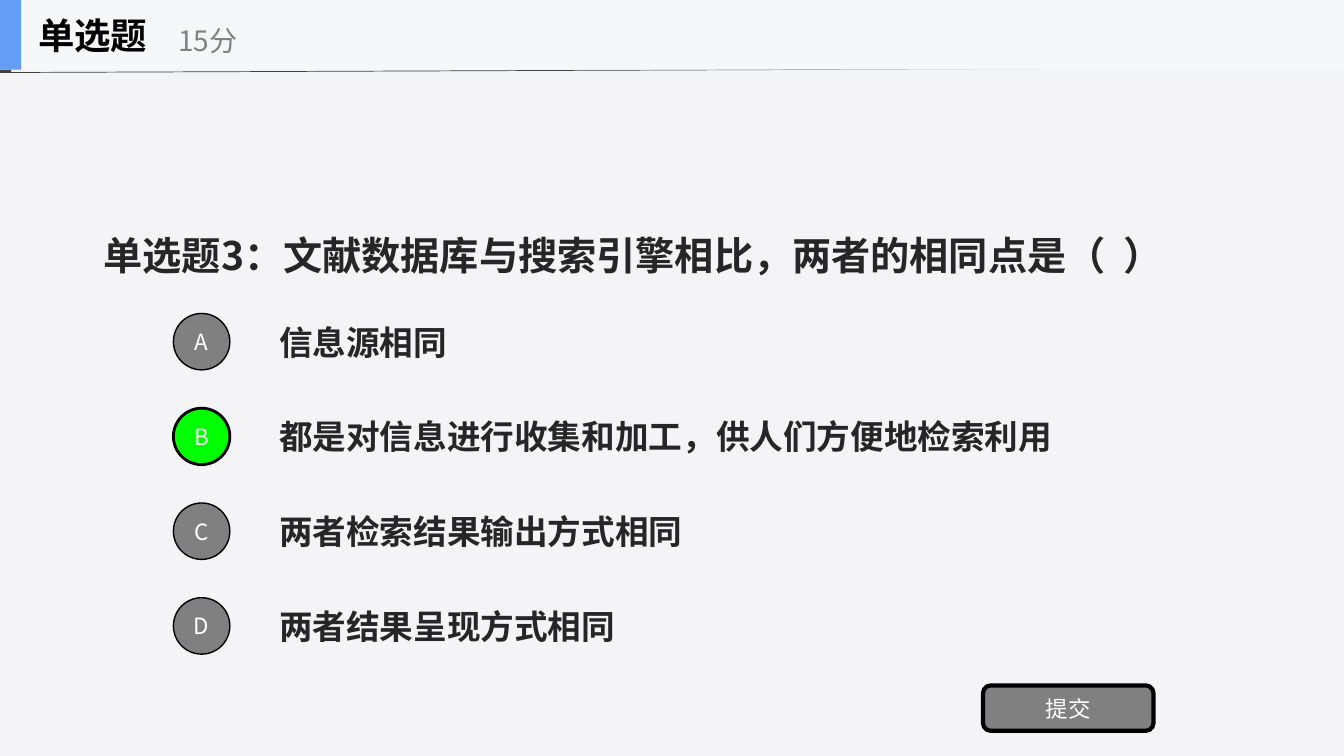
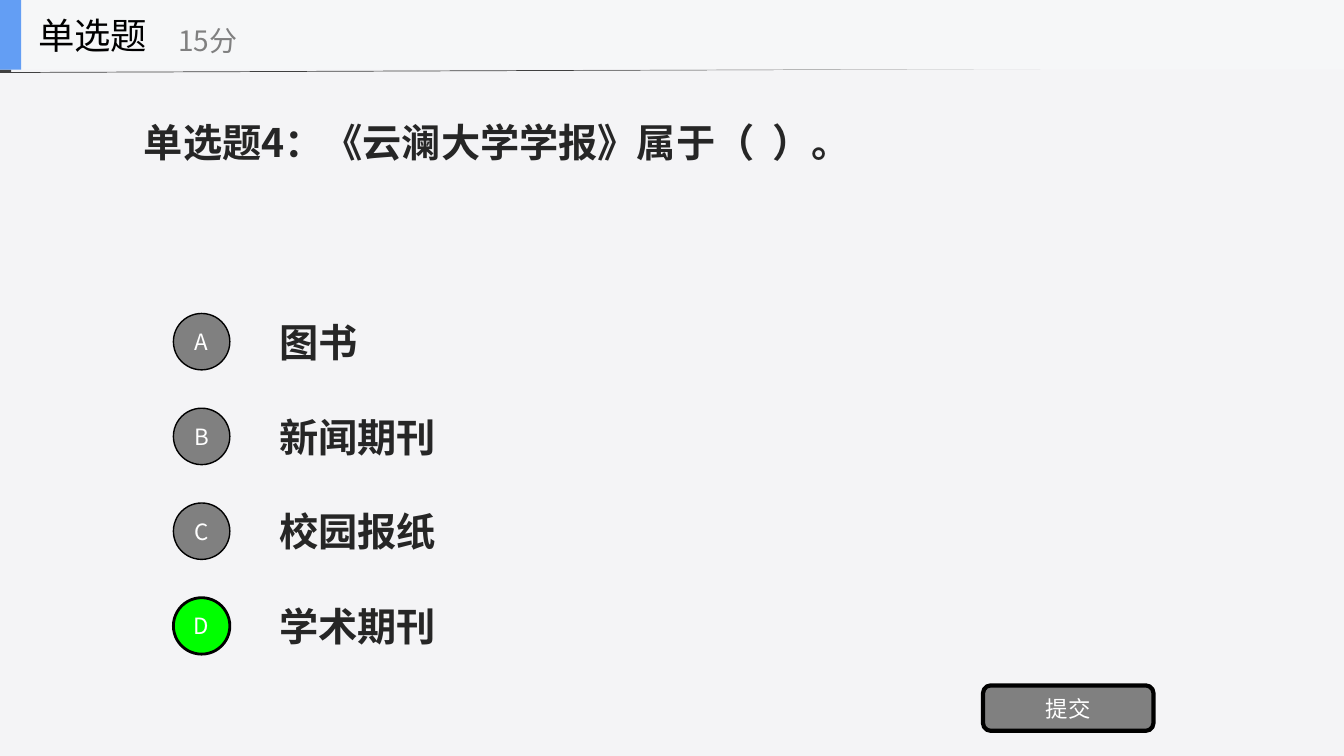
from dataclasses import dataclass
from lxml import etree
from pptx import Presentation
from pptx import util as u
from pptx.dml.color import RGBColor
from pptx.enum import shapes, text
from pptx.oxml.ns import qn


@dataclass(frozen=True)
class Theme:
    """Colours, font and type sizes of the deck."""
    font: str = "Noto Sans CJK SC"
    page: str = "F4F4F6"
    band: str = "F6F7F8"
    blue: str = "639EF4"
    dark: str = "404040"
    ink: str = "262626"
    grey: str = "808080"
    green: str = "00FF00"
    black: str = "000000"
    white: str = "FFFFFF"
    ask: int = 28
    head: int = 26
    score: int = 20
    mark: int = 16


T = Theme()
RECT = shapes.MSO_SHAPE.RECTANGLE
OVAL = shapes.MSO_SHAPE.OVAL
ROUND = shapes.MSO_SHAPE.ROUNDED_RECTANGLE
MID = text.PP_ALIGN.CENTER
LEFT = text.PP_ALIGN.LEFT


def rgb(code):
    """Return the colour of a hex code."""
    return RGBColor.from_string(code)


def inch(*vals):
    """Turn numbers into lengths."""
    return [u.Inches(v) for v in vals]


def put(obj, **form):
    """Set each format value on an object."""
    for key, val in form.items():
        setattr(obj, key, val)


def write(shape, words, size, color, bold=False, align=LEFT, lead=None, foot=0.05):
    """Write one line of text, centred upright, into a shape."""
    frame = shape.text_frame
    put(frame, word_wrap=True, vertical_anchor=text.MSO_ANCHOR.MIDDLE,
        margin_bottom=u.Inches(foot))
    para = frame.paragraphs[0]
    put(para, alignment=align, line_spacing=lead)
    run = para.add_run()
    run.text = words
    put(run.font, size=u.Pt(size), bold=bold, name=T.font)
    run.font.color.rgb = rgb(color)
    etree.SubElement(run.font._element, qn("a:ea"), typeface=T.font)


def label(host, box, words, size, color, **form):
    """Add a text box."""
    write(host.add_textbox(*inch(*box)), words, size, color, **form)


def block(host, kind, box, fill, line=0):
    """Add a filled shape, outlined in black if line is set."""
    shape = host.add_shape(kind, *inch(*box))
    shape.shadow.inherit = False
    shape.fill.solid()
    shape.fill.fore_color.rgb = rgb(fill)
    if line:
        shape.line.color.rgb = rgb(T.black)
        shape.line.width = u.Pt(line)
    else:
        shape.line.fill.background()
    return shape


def button(host, kind, box, words, fill, line):
    """Add a shape with a white caption."""
    write(block(host, kind, box, fill, line), words, T.mark, T.white, align=MID)


def rule(host):
    """Draw the dark tab and the slanted rule below the header."""
    block(host, RECT, (0, 0.2, 0.11, 0.52), T.dark)
    line = host.add_connector(shapes.MSO_CONNECTOR.STRAIGHT,
                              *inch(0, 0.72, 13.33, 0.67))
    line.line.color.rgb = rgb(T.dark)
    line.line.width = u.Pt(0.5)
    etree.SubElement(line._element.spPr, qn("a:effectLst"))


def header(host, box, bold):
    """Draw the header band with quiz type and score."""
    x, y, w, h = box
    band = host.add_group_shape().shapes
    block(band, RECT, box, T.band)
    block(band, RECT, (x, y, 0.21, h), T.blue)
    label(band, (x + 0.28, y, 2.67, h), "单选题", T.head, T.black, bold=bold)
    label(band, (x + 1.67, y + 0.12, 2.5, 0.56), "15分", T.score, T.grey)


def choices(host, box, items, right, size):
    """Stack the lettered choices, the right one in green."""
    x, y, w, h = box
    step = h / len(items)
    for i, (mark, words) in enumerate(zip("ABCD", items)):
        top = y + i * step
        fill, line = (T.green, 2) if mark == right else (T.grey, 1)
        label(host, (x + 0.95, top, w - 0.95, 0.7), words, size, T.ink, bold=True)
        button(host, OVAL, (x, top + 0.07, 0.56, 0.56), mark, fill, line)


def quiz(deck, ask, box, items, right, size, bold=False, **form):
    """Build one quiz slide."""
    host = deck.slides.add_slide(deck.slide_layouts[6]).shapes
    rule(host)
    label(host, box, ask, T.ask, T.ink, bold=True, **form)
    choices(host, (1.72, 3.04, 10.28, 3.76), items, right, size)
    button(host, ROUND, (9.75, 6.8, 1.69, 0.45), "提交", T.grey, 3)
    header(host, (0, 0, 13.33, 0.69), bold)


def main():
    """Build and save the deck."""
    deck = Presentation()
    put(deck, slide_width=u.Inches(13.33), slide_height=u.Inches(7.5))
    back = deck.slide_master.background.fill
    back.solid()
    back.fore_color.rgb = rgb(T.page)
    quiz(deck, "单选题3：文献数据库与搜索引擎相比，两者的相同点是（  ）",
         (0.93, 1.24, 11.87, 2.34),
         ["信息源相同", "都是对信息进行收集和加工，供人们方便地检索利用",
          "两者检索结果输出方式相同", "两者结果呈现方式相同"],
         "B", 24, bold=True, lead=1.5)
    quiz(deck, "单选题4：《云澜大学学报》属于（  ）。",
         (1.33, 0.47, 10.67, 2.34),
         ["图书", "新闻期刊", "校园报纸", "学术期刊"],
         "D", 28, foot=0.51)
    deck.save("out.pptx")


if __name__ == "__main__":
    main()
